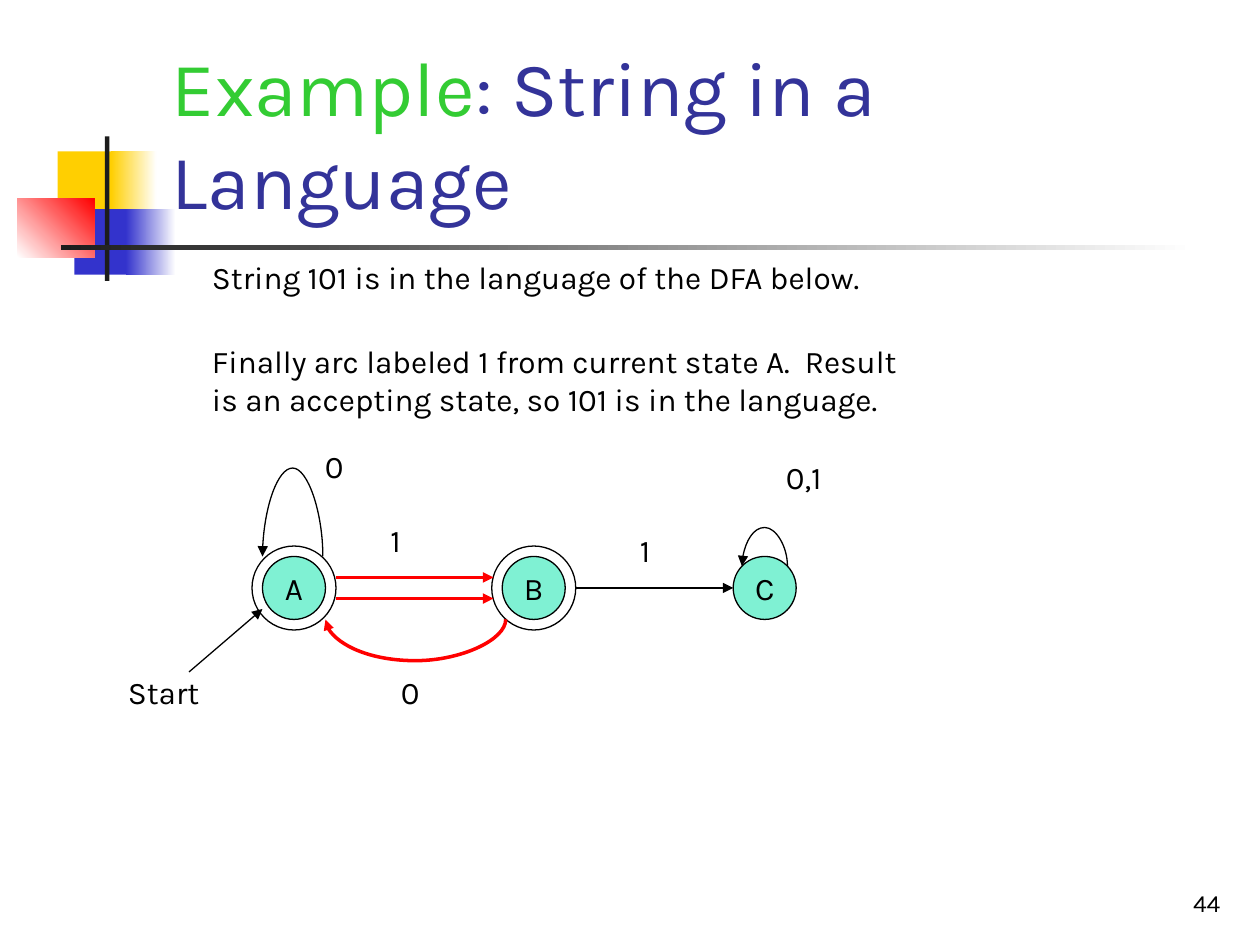
from dataclasses import dataclass

from lxml.etree import SubElement
from pptx import Presentation
from pptx.dml.color import RGBColor
from pptx.enum.shapes import MSO_CONNECTOR as LINK, MSO_SHAPE as SHAPE
from pptx.enum.text import MSO_ANCHOR as ANCHOR, MSO_AUTO_SIZE as FIT, PP_ALIGN as ALIGN
from pptx.oxml.ns import qn
from pptx.util import Pt


@dataclass(frozen=True)
class Theme:
    font: str = "Karla"
    title: int = 44
    body: int = 18
    small: int = 14
    white: str = "FFFFFF"
    black: str = "000000"
    dark: str = "1C1C1C"
    gold: str = "FFCF01"
    blue: str = "3333CC"
    red: str = "FF0000"
    navy: str = "333399"
    green: str = "33CC33"
    mint: str = "00E4A8"


theme = Theme()
rgb = RGBColor.from_string


def write(frame, lines, size=theme.body, align=ALIGN.LEFT, **form):
    """Fill a frame with lines, each a list of (text, colour) runs."""
    form = {"word_wrap": True, "auto_size": FIT.NONE, "vertical_anchor": ANCHOR.TOP, **form}
    for name, value in form.items():
        setattr(frame, name, value)
    for i, line in enumerate(lines):
        para = frame.add_paragraph() if i else frame.paragraphs[0]
        para.alignment = align
        for text, color in line:
            run = para.add_run()
            run.text = text
            look = {"name": theme.font, "size": Pt(size)}
            for name, value in look.items():
                setattr(run.font, name, value)
            run.font.color.rgb = rgb(color)


def arrow(kind, x1, y1, x2, y2, color, width):
    link = shapes.add_connector(kind, Pt(x1), Pt(y1), Pt(x2), Pt(y2))
    link.line.color.rgb = rgb(color)
    link.line.width = Pt(width)
    SubElement(link.line._get_or_add_ln(), qn("a:tailEnd"), type="triangle")
    SubElement(link._element.spPr, qn("a:effectLst"))
    return link


deck = Presentation()
deck.slide_width, deck.slide_height = Pt(720), Pt(540)
slide = deck.slides.add_slide(deck.slide_layouts[5])
shapes = slide.shapes

# Corner ornament: left, top, width, height, start colour, end colour, angle
bars = [
    (33, 86.5, 34.5, 37.5, theme.gold, None, 0),
    (63.5, 86.5, 26, 37.5, theme.gold, theme.white, 0),
    (42.5, 119.5, 33, 37.5, theme.blue, None, 0),
    (72, 119.5, 28.5, 37.5, theme.blue, theme.white, 0),
    (10, 113.5, 44, 33.5, theme.white, theme.red, 45),
    (60, 78, 2.5, 82.5, theme.dark, None, 0),
    (34.8, 140.2, 648, 2.4, theme.dark, theme.white, 0),
]
for left, top, width, height, start, end, angle in bars:
    bar = shapes.add_shape(SHAPE.RECTANGLE, Pt(left), Pt(top), Pt(width), Pt(height))
    bar.shadow.inherit = False
    bar.line.fill.background()
    if end:
        bar.fill.gradient()
        bar.fill.gradient_angle = angle
        for stop, color in zip(bar.fill.gradient_stops, (start, end)):
            stop.color.rgb = rgb(color)
    else:
        bar.fill.solid()
        bar.fill.fore_color.rgb = rgb(start)

# Title, in front of the ornament
title = shapes.title
place = {"left": 91, "top": 16.5, "width": 613.5, "height": 115.5}
for name, value in place.items():
    setattr(title, name, Pt(value))
shapes._spTree.append(title._element)
write(title.text_frame, [[("Example", theme.green), (": String in a Language", theme.navy)]],
      theme.title, vertical_anchor=ANCHOR.BOTTOM)

# Plain text: left, top, width, height, lines
notes = [
    (114, 144, 516, 36, ["String 101 is in the language of the DFA below."]),
    (114, 192, 533.5, 65, ["Finally arc labeled 1 from current state A.  Result",
                           "is an accepting state, so 101 is in the language."]),
    (66, 381, 65, 36, ["Start"]),
    (216, 294, 27, 36, ["1"]),
    (222, 381, 27, 36, ["0"]),
    (358.5, 300, 27, 36, ["1"]),
    (178.5, 252, 27, 36, ["0"]),
    (442, 258, 48, 36, ["0,1"]),
]
for left, top, width, height, lines in notes:
    box = shapes.add_textbox(Pt(left), Pt(top), Pt(width), Pt(height))
    write(box.text_frame, [[(line, theme.black)] for line in lines])
page = shapes.add_textbox(Pt(554.5), Pt(492), Pt(150), Pt(36))
write(page.text_frame, [[("44", theme.black)]], theme.small, ALIGN.RIGHT,
      vertical_anchor=ANCHOR.BOTTOM)

# States; accepting ones get an outer ring
mid = 336
for name, x, final in [("A", 168, True), ("B", 305, True), ("C", 437, False)]:
    for size in (36, 48) if final else (36,):
        disc = shapes.add_shape(SHAPE.OVAL, Pt(x - size / 2), Pt(mid - size / 2), Pt(size), Pt(size))
        disc.shadow.inherit = False
        disc.line.color.rgb = rgb(theme.black)
        disc.line.width = Pt(0.75)
        if size == 48:
            disc.fill.background()
            continue
        disc.fill.solid()
        disc.fill.fore_color.rgb = rgb(theme.mint)
        tint = disc._element.spPr.find(qn("a:solidFill")).find(qn("a:srgbClr"))
        SubElement(tint, qn("a:alpha"), val="50000")
        write(disc.text_frame, [[(name, theme.black)]], align=ALIGN.CENTER,
              word_wrap=False, vertical_anchor=ANCHOR.MIDDLE)

# Straight arcs
for x1, y1, x2, y2, color, width in [
    (108, 384, 150, 348, theme.black, 0.75),
    (192, 330, 282, 330, theme.red, 2),
    (192, 342, 282, 342, theme.red, 2),
    (329, mid, 419, mid, theme.black, 0.75),
]:
    arrow(LINK.STRAIGHT, x1, y1, x2, y2, color, width)

# Curved arcs run from right to left: a thin upright connector, turned on its side
thin = 0.12
over = {"rot": "16200000", "flipH": "1", "flipV": "1"}
under = {"rot": "5400000"}
for x1, x2, y, depth, turn, color, width in [
    (184.5, 150, 318, -53.4, over, theme.black, 0.75),
    (450, 424, 323.5, -23.3, over, theme.black, 0.75),
    (289, 186, 354, 25, under, theme.red, 2),
]:
    x, half = (x1 + x2) / 2, (x1 - x2) / 2
    arc = arrow(LINK.CURVE, x - thin / 2, y - half, x + thin / 2, y + half, color, width)
    props = arc._element.spPr
    for name, value in turn.items():
        props.find(qn("a:xfrm")).set(name, value)
    bend = props.find(qn("a:prstGeom")).find(qn("a:avLst"))
    SubElement(bend, qn("a:gd"), name="adj1", fmla=f"val {round(depth / thin * 100000)}")

deck.save("out.pptx")
